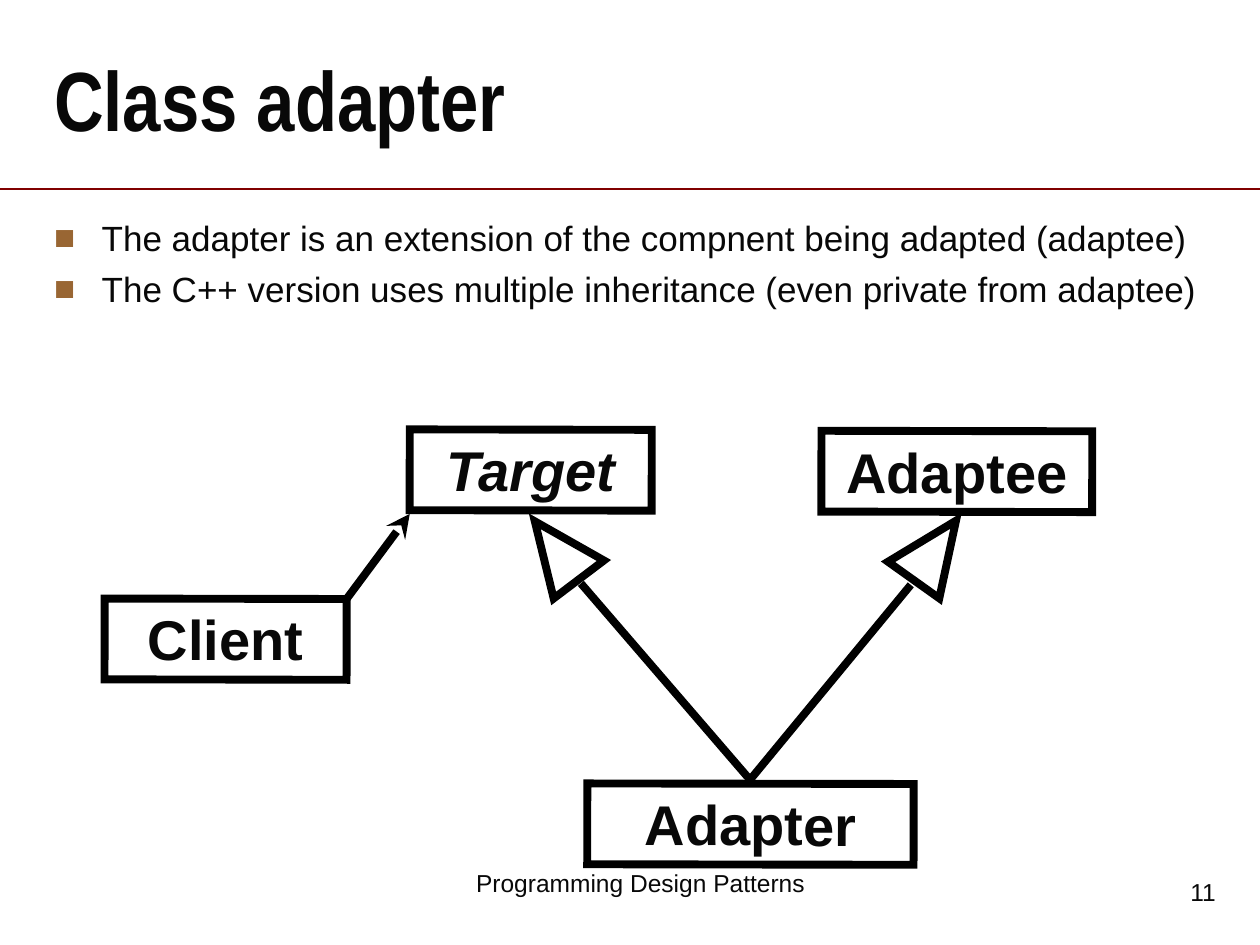
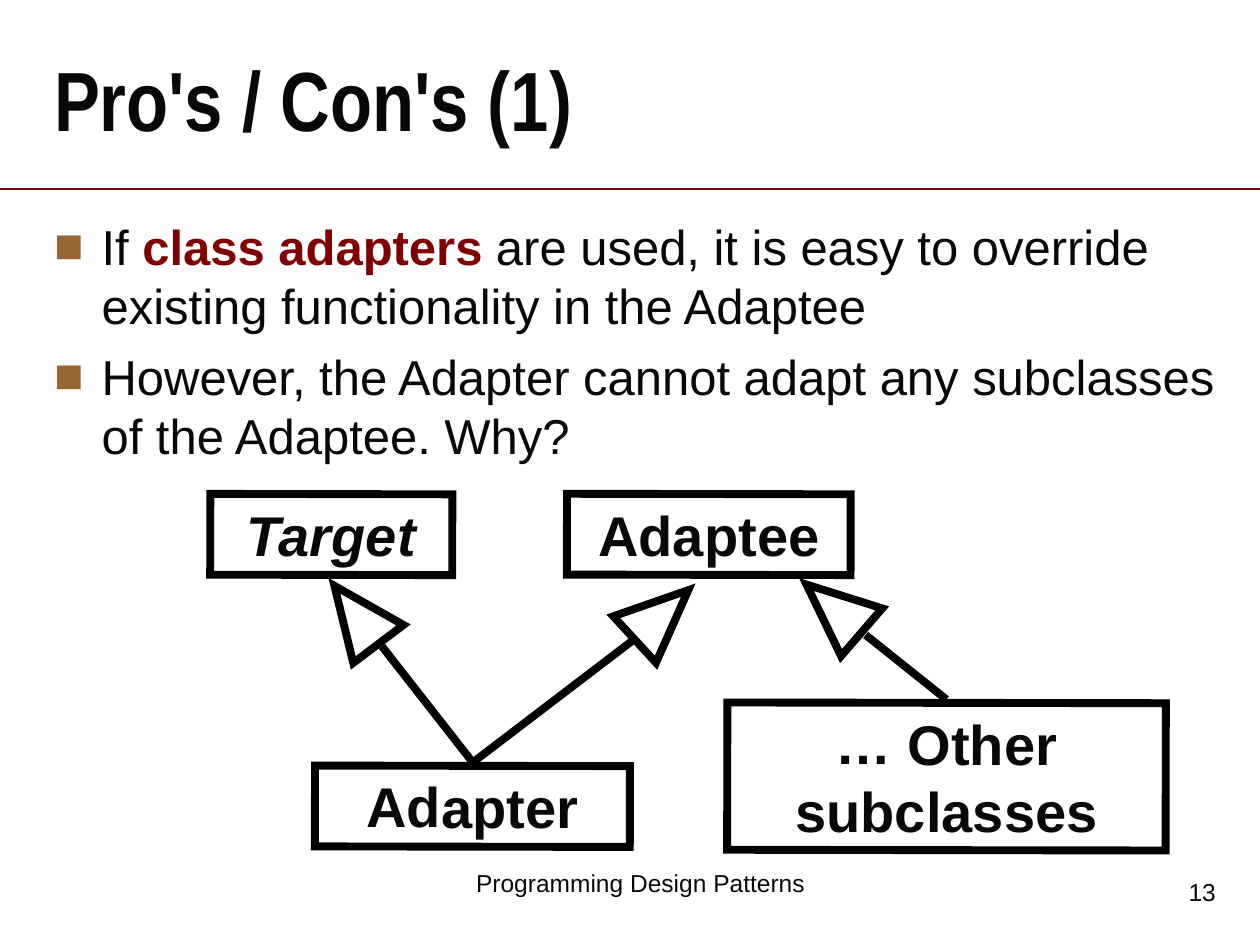
from dataclasses import dataclass

from lxml import etree
from pptx import Presentation, util as u
from pptx.dml.color import RGBColor
from pptx.enum import shapes, text
from pptx.oxml import ns


@dataclass(frozen=True)
class Theme:
    ink: str = "080808"
    stroke: str = "000000"
    accent: str = "800000"
    bullet: str = "996633"
    body_font: str = "Arial"
    title_font: str = "Arial Narrow"
    title_size: float = 48
    class_size: float = 32
    footer_size: float = 14
    stroke_width: float = 4.5
    rule_width: float = 0.75


THEME = Theme()
FOOTER = "Programming Design Patterns"
CLASS_HEIGHT = 1.63
TRIANGLE_SIZE = (1.27, 1.47)
BULLET_INDENT = 0.96
CENTER, RIGHT = text.PP_ALIGN.CENTER, text.PP_ALIGN.RIGHT


def cm(values):
    return [u.Cm(value) for value in values]


def add_xml(parent, tag, **attributes):
    return etree.SubElement(parent, ns.qn(tag), attributes)


def apply(target, formats):
    for name, value in formats.items():
        setattr(target, name, value)


def add_span(para, words, size, color=THEME.ink, font=THEME.body_font, **formats):
    span = para.add_run()
    span.text = words
    apply(span.font, {"size": u.Pt(size), "name": font, **formats})
    span.font.color.rgb = RGBColor.from_string(color)


def style_line(line, width=THEME.stroke_width, color=THEME.stroke):
    line.width = u.Pt(width)
    line.color.rgb = RGBColor.from_string(color)


def add_text_box(page, frame, anchor=text.MSO_ANCHOR.MIDDLE):
    box = page.shapes.add_textbox(*cm(frame))
    apply(box.text_frame, {"word_wrap": True, "vertical_anchor": anchor})
    return box.text_frame


def add_label(page, frame, words, size, align=None, spacing=None, **formats):
    para = add_text_box(page, frame).paragraphs[0]
    apply(para, {"alignment": align, "line_spacing": spacing})
    add_span(para, words, size, **formats)


def add_line(page, start, end, width=THEME.stroke_width, color=THEME.stroke, arrow=False):
    line = page.shapes.add_connector(shapes.MSO_CONNECTOR.STRAIGHT, *cm(start + end))
    style_line(line.line, width, color)
    properties = line._element.spPr
    if arrow:
        add_xml(properties.find(ns.qn("a:ln")), "a:tailEnd", type="stealth")
    add_xml(properties, "a:effectLst")


def add_outline(page, kind, frame, rotation):
    """Add an unfilled preset shape with sharp corners."""
    shape = page.shapes.add_shape(kind, *cm(frame))
    shape.shadow.inherit = False
    shape.rotation = rotation
    shape.fill.background()
    style_line(shape.line)
    add_xml(shape._element.spPr.find(ns.qn("a:ln")), "a:miter", lim="800000")
    return shape


def add_class(page, name, left, top, width, height=CLASS_HEIGHT, abstract=False):
    box = add_outline(page, shapes.MSO_SHAPE.RECTANGLE, (left, top, width, height), 0.1)
    apply(box.text_frame, {"word_wrap": True, "vertical_anchor": text.MSO_ANCHOR.TOP,
                           "auto_size": text.MSO_AUTO_SIZE.SHAPE_TO_FIT_TEXT})
    para = box.text_frame.paragraphs[0]
    para.alignment = CENTER
    add_span(para, name, THEME.class_size, bold=True, italic=abstract)


def add_inheritance(page, child, line_end, triangle, rotation):
    """Join a child class to the hollow triangle that points at its parent."""
    add_outline(page, shapes.MSO_SHAPE.ISOSCELES_TRIANGLE, triangle + TRIANGLE_SIZE, rotation)
    add_line(page, line_end, child)


def add_bullets(page, items, size, space_before):
    """Each item is a list of spans; a span is (words, emphasised)."""
    frame = add_text_box(page, (0.84, 4.24, 24.56, 12.5), text.MSO_ANCHOR.TOP)
    for index, spans in enumerate(items):
        para = frame.add_paragraph() if index else frame.paragraphs[0]
        para.space_before = u.Pt(space_before)
        properties = para._p.get_or_add_pPr()
        indent = u.Cm(BULLET_INDENT)
        properties.set("marL", str(indent))
        properties.set("indent", str(-indent))
        add_xml(add_xml(properties, "a:buClr"), "a:srgbClr", val=THEME.bullet)
        add_xml(properties, "a:buFont", typeface=THEME.body_font)
        add_xml(properties, "a:buChar", char="■")
        for words, emphasised in spans:
            color = THEME.accent if emphasised else THEME.ink
            add_span(para, words, size, color, bold=emphasised)


def add_page(deck, title, number):
    page = deck.slides.add_slide(deck.slide_layouts[6])
    add_line(page, (0, 3.81), (25.4, 3.81), THEME.rule_width, THEME.accent)
    add_label(page, (7.62, 17.15, 10.59, 1.27), FOOTER, THEME.footer_size, CENTER)
    add_label(page, (19.48, 17.35, 5.28, 1.27), str(number), THEME.footer_size, RIGHT)
    add_label(page, (0.84, 0.64, 24.56, 3.18), title, THEME.title_size,
              spacing=0.7, font=THEME.title_font, bold=True)
    return page


def build_class_adapter(deck):
    page = add_page(deck, "Class adapter", 11)
    add_bullets(page, [
        [("The adapter is an extension of the compnent being adapted (adaptee)", False)],
        [("The C++ version uses multiple inheritance (even private from adaptee)", False)],
    ], size=20, space_before=5)
    adapter_top = (15.12, 15.72)
    add_inheritance(page, adapter_top, (11.71, 11.76), (10.59, 10.36), -37.1)
    add_inheritance(page, adapter_top, (18.36, 11.79), (18.21, 10.36), 35.5)
    add_class(page, "Target", 8.26, 8.66, 4.88, abstract=True)
    add_class(page, "Adaptee", 16.56, 8.69, 5.46)
    add_class(page, "Adapter", 11.84, 15.8, 6.58)
    add_class(page, "Client", 2.11, 12.07, 4.88)
    add_line(page, (6.99, 12.07), (8.26, 10.36), arrow=True)


def build_pros_and_cons(deck):
    page = add_page(deck, "Pro's / Con's (1)", 13)
    add_bullets(page, [
        [("If ", False), ("class adapters", True),
         (" are used, it is easy to override existing functionality in the Adaptee", False)],
        [("However, the Adapter cannot adapt any subclasses of the Adaptee. Why?", False)],
    ], size=28, space_before=7)
    adapter_top = (9.53, 15.37)
    add_class(page, "Target", 4.24, 9.96, 4.88, abstract=True)
    add_class(page, "Adaptee", 11.43, 9.96, 5.72)
    add_class(page, "Adapter", 6.35, 15.44, 6.35)
    add_class(page, "… Other subclasses", 14.66, 14.17, 8.84, 2.97)
    add_inheritance(page, adapter_top, (7.7, 13.03), (6.55, 11.66), -37.1)
    add_inheritance(page, adapter_top, (12.73, 12.93), (12.7, 11.66), 47.4)
    add_inheritance(page, (19.08, 14.1), (17.45, 12.8), (16.18, 11.53), -49.2)


def main():
    deck = Presentation()
    apply(deck, {"slide_width": u.Cm(25.4), "slide_height": u.Cm(19.05)})
    build_class_adapter(deck)
    build_pros_and_cons(deck)
    deck.save("out.pptx")


if __name__ == "__main__":
    main()
